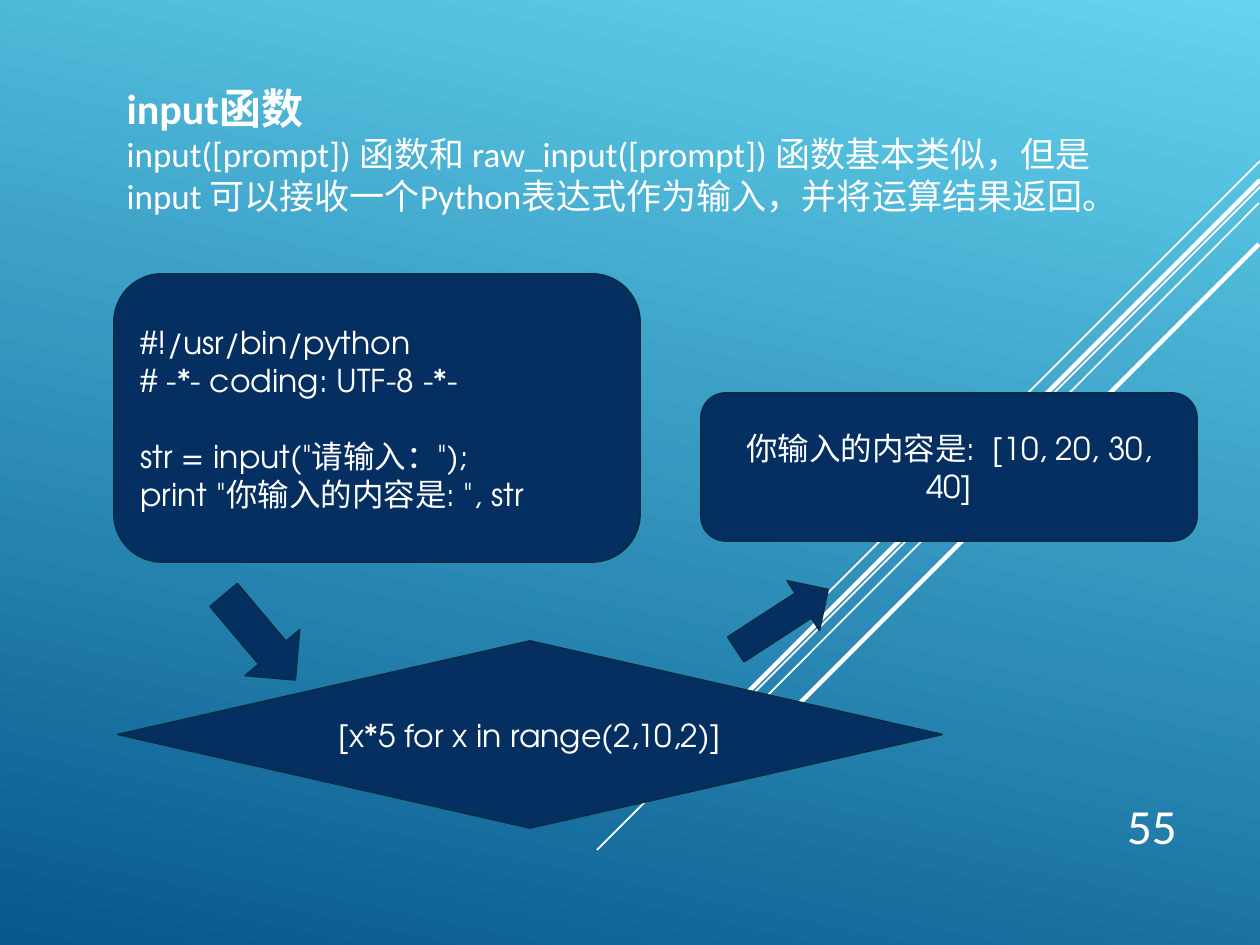
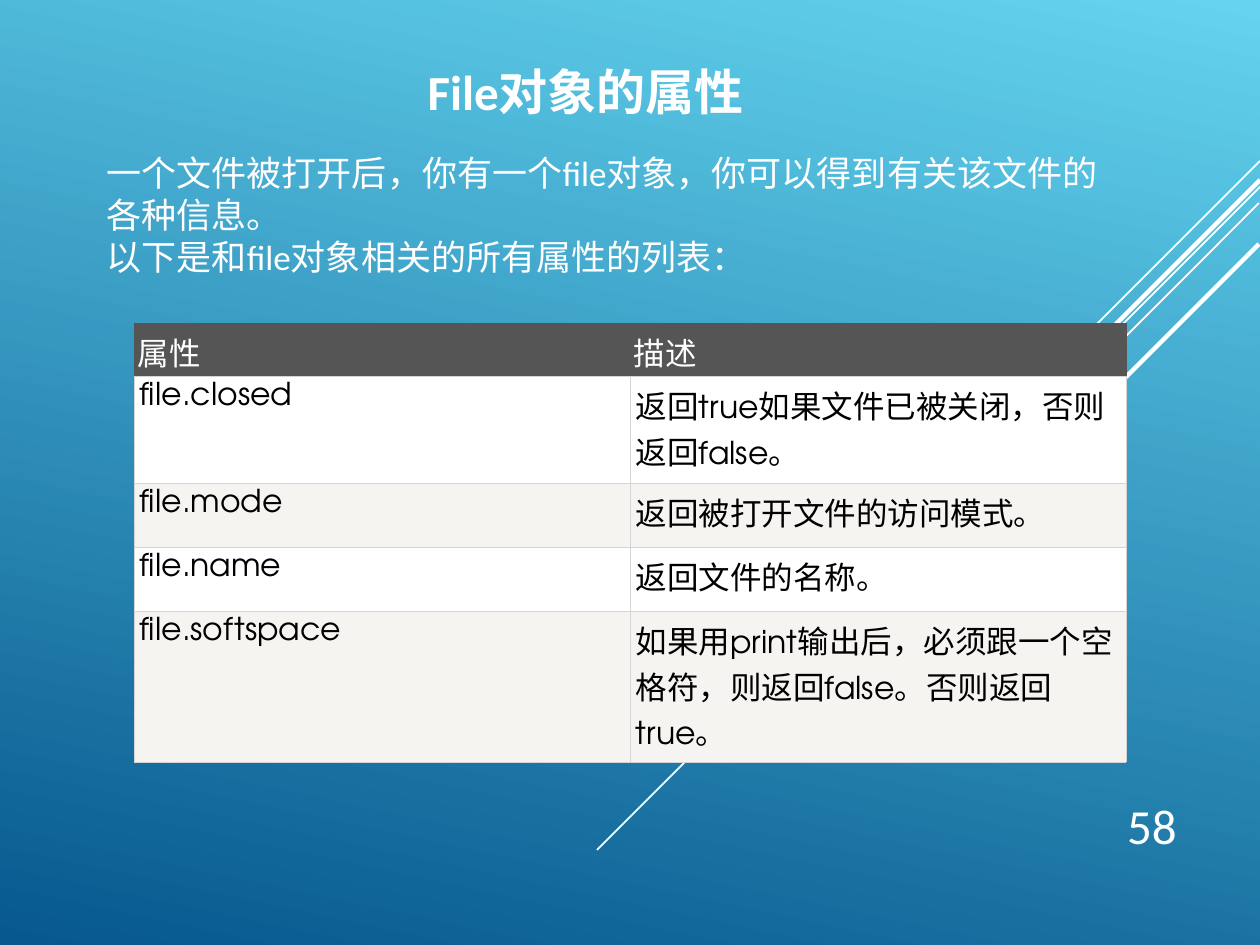
from lxml import etree
from pptx import Presentation
from pptx.dml.color import RGBColor
from pptx.enum.lang import MSO_LANGUAGE_ID
from pptx.enum.shapes import MSO_CONNECTOR, MSO_SHAPE
from pptx.enum.text import MSO_ANCHOR, MSO_AUTO_SIZE, PP_ALIGN
from pptx.oxml.ns import qn
from pptx.util import Emu, Pt

LEFT, CENTER, RIGHT = PP_ALIGN.LEFT, PP_ALIGN.CENTER, PP_ALIGN.RIGHT
TOP, MIDDLE, BOTTOM = MSO_ANCHOR.TOP, MSO_ANCHOR.MIDDLE, MSO_ANCHOR.BOTTOM
ROUNDED, DECISION = MSO_SHAPE.ROUNDED_RECTANGLE, MSO_SHAPE.FLOWCHART_DECISION
ARROW = MSO_SHAPE.RIGHT_ARROW
STRAIGHT = MSO_CONNECTOR.STRAIGHT
CHINESE = MSO_LANGUAGE_ID.SIMPLIFIED_CHINESE

EMU_PER_PX = 914400 / 126
SLIDE_SIZE = (1260, 945)

TEXT_FONT, CODE_FONT = "Calibri", "TeX Gyre Adventor"
WHITE, BLACK = "FFFFFF", "000000"
SKY, DEEP = "64D4EF", "06588E"
NAVY, NAVY_EDGE = "052F61", "032E45"
HEAD_FILL, ROW_FILLS, GRID = "555555", (WHITE, "F6F4F0"), "D4D4D4"
GRID_WIDTH = 0.34

# Diagonal rays: start, end, width in points
RAYS = [
    ((1260, 161), (828, 593), 1),
    ((1261, 186), (597, 850), 1),
    ((1259, 203), (721, 742), 1),
    ((1260, 180), (731, 709), 2.5),
    ((1259, 244), (786, 717), 2.5),
]
NUMBER_BOX = (1071, 769, 118, 92)

INPUT_SLIDE = {
    "number": "55",
    "title": ("input函数", (114, 76, 1042, 50), 24, LEFT),
    "body": (["input([prompt]) 函数和 raw_input([prompt]) 函数基本类似，"
              "但是 input 可以接收一个Python表达式作为输入，并将运算结果返回。"],
             (114, 126, 1042, 96)),
}
CODE_GROUPS = [
    ["#!/usr/bin/python", "# -*- coding: UTF-8 -*-"],
    ['str = input("请输入：");', 'print "你输入的内容是: ", str'],
]
CODE_GAP = 22
CODE_BOX = (114, 274, 526, 288)
FLOW = [
    (DECISION, (118, 641, 824, 187), "[x*5 for x in range(2,10,2)]"),
    (ROUNDED, (701, 393, 496, 148), "你输入的内容是:  [10, 20, 30, 40]"),
]
ARROWS = [((204, 602, 111, 71), 49.9), ((727, 590, 110, 59), 327)]

FILE_SLIDE = {
    "number": "58",
    "title": ("File对象的属性", (134, 55, 903, 72), 28, CENTER),
    "body": (["一个文件被打开后，你有一个file对象，你可以得到有关该文件的各种信息。",
              "以下是和file对象相关的所有属性的列表："],
             (94, 145, 1032, 139)),
}
ATTRIBUTES = [
    ("属性", "描述"),
    ("file.closed", "返回true如果文件已被关闭，否则返回false。"),
    ("file.mode", "返回被打开文件的访问模式。"),
    ("file.name", "返回文件的名称。"),
    ("file.softspace", "如果用print输出后，必须跟一个空格符，则返回false。否则返回true。"),
]
TABLE_ORIGIN = (134, 323)
COLUMN_WIDTH = 496
ROW_HEIGHTS = [53, 107, 64, 64, 151]


def px(value):
    return Emu(round(value * EMU_PER_PX))


def box(values):
    return [px(value) for value in values]


def color(hex_code):
    return RGBColor.from_string(hex_code)


def write(frame, lines, size, font=TEXT_FONT, ink=WHITE, align=LEFT,
          anchor=TOP, bold=False):
    """Fill a text frame with one plain paragraph per line."""
    frame.word_wrap = True
    frame.vertical_anchor = anchor
    for index, line in enumerate(lines):
        paragraph = frame.add_paragraph() if index else frame.paragraphs[0]
        properties = paragraph._p.get_or_add_pPr()
        properties.set("marL", "0")
        properties.set("indent", "0")
        etree.SubElement(properties, qn("a:buNone"))
        paragraph.alignment = align
        paragraph.space_before = Pt(0)
        run = paragraph.add_run()
        run.text = line
        run.font.name = font
        run.font.size = Pt(size)
        run.font.bold = bold
        run.font.color.rgb = color(ink)
        run.font.language_id = CHINESE


def place(placeholder, position, lines, size, **style):
    (placeholder.left, placeholder.top,
     placeholder.width, placeholder.height) = box(position)
    write(placeholder.text_frame, lines, size, **style)
    placeholder.text_frame.auto_size = MSO_AUTO_SIZE.NONE


def paint_background(master):
    fill = master.background.fill
    fill.gradient()
    fill.gradient_angle = 360 - 102
    for stop, shade in zip(fill.gradient_stops, (SKY, DEEP)):
        stop.color.rgb = color(shade)


def add_ray(slide, start, end, width):
    ray = slide.shapes.add_connector(STRAIGHT, *box(start + end))
    ray.line.color.rgb = color(WHITE)
    ray.line.width = Pt(width)
    etree.SubElement(ray._element.spPr, qn("a:effectLst"))


def add_content_slide(prs, content):
    """Add a slide with the rays, page number, title and body text."""
    slide = prs.slides.add_slide(prs.slide_layouts[1])
    for ray in RAYS:
        add_ray(slide, *ray)
    number = slide.shapes.add_textbox(*box(NUMBER_BOX))
    write(number.text_frame, [content["number"]], 28, align=RIGHT, anchor=BOTTOM)
    heading, position, size, align = content["title"]
    place(slide.shapes.title, position, [heading], size, align=align, bold=True)
    lines, position = content["body"]
    place(slide.placeholders[1], position, lines, 20)
    return slide


def add_block(slide, kind, position):
    block = slide.shapes.add_shape(kind, *box(position))
    block.shadow.inherit = False
    block.fill.solid()
    block.fill.fore_color.rgb = color(NAVY)
    block.line.color.rgb = color(NAVY_EDGE)
    block.line.width = Pt(1)
    return block


def build_input_slide(prs):
    slide = add_content_slide(prs, INPUT_SLIDE)
    code = add_block(slide, ROUNDED, CODE_BOX).text_frame
    write(code, sum(CODE_GROUPS, []), 18, CODE_FONT, anchor=MIDDLE)
    code.paragraphs[len(CODE_GROUPS[0])].space_before = Pt(CODE_GAP)
    for kind, position, label in FLOW:
        write(add_block(slide, kind, position).text_frame, [label], 18,
              CODE_FONT, align=CENTER, anchor=MIDDLE)
    for position, angle in ARROWS:
        add_block(slide, ARROW, position).rotation = angle


def set_borders(cell, edges):
    """Draw the four cell edges; call before the cell gets its fill."""
    properties = cell._tc.get_or_add_tcPr()
    for side, shade in edges.items():
        edge = etree.SubElement(properties, qn(f"a:ln{side}"), w=str(Pt(GRID_WIDTH)))
        solid = etree.SubElement(edge, qn("a:solidFill"))
        etree.SubElement(solid, qn("a:srgbClr"), val=shade)


def format_cell(cell, text, is_head, fill):
    side_shade = HEAD_FILL if is_head else GRID
    set_borders(cell, {"L": side_shade, "R": side_shade, "T": side_shade, "B": GRID})
    cell.fill.solid()
    cell.fill.fore_color.rgb = color(fill)
    cell.margin_left = cell.margin_right = px(4 if is_head else 6)
    cell.margin_top = px(6)
    cell.margin_bottom = px(0 if is_head else 6)
    write(cell.text_frame, [text], 18, CODE_FONT, ink=WHITE if is_head else BLACK)


def build_file_slide(prs):
    slide = add_content_slide(prs, FILE_SLIDE)
    columns = len(ATTRIBUTES[0])
    size = (COLUMN_WIDTH * columns, sum(ROW_HEIGHTS))
    table = slide.shapes.add_table(len(ATTRIBUTES), columns,
                                   *box(TABLE_ORIGIN + size)).table
    table.first_row = table.horz_banding = False
    for column in table.columns:
        column.width = px(COLUMN_WIDTH)
    for r, (height, texts) in enumerate(zip(ROW_HEIGHTS, ATTRIBUTES)):
        table.rows[r].height = px(height)
        fill = ROW_FILLS[(r - 1) % 2] if r else HEAD_FILL
        for c, text in enumerate(texts):
            format_cell(table.cell(r, c), text, r == 0, fill)


def main():
    prs = Presentation()
    prs.slide_width, prs.slide_height = box(SLIDE_SIZE)
    paint_background(prs.slide_master)
    build_input_slide(prs)
    build_file_slide(prs)
    prs.save("out.pptx")


if __name__ == "__main__":
    main()
